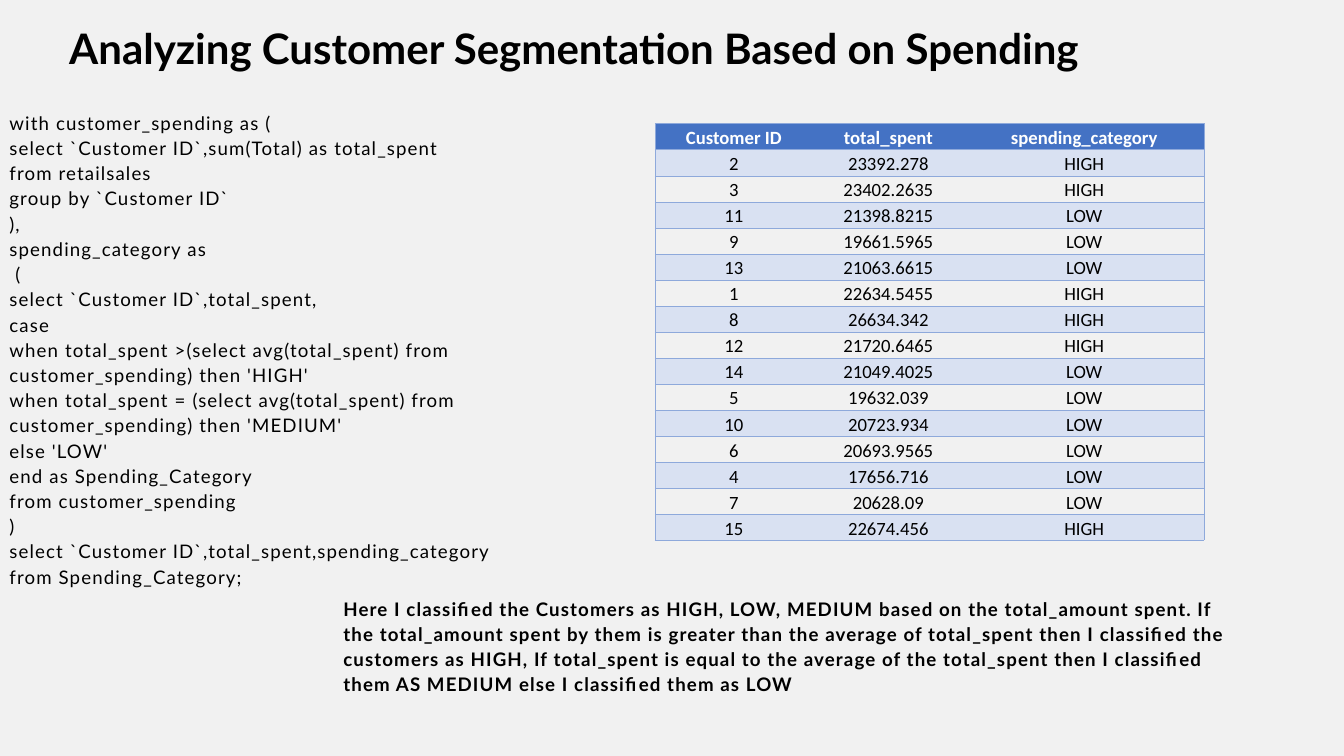
import pptx
import pptx.dml.color
import pptx.enum.text
import pptx.oxml.ns
import pptx.util
from lxml import etree

Inches = pptx.util.Inches
Pt = pptx.util.Pt
RGB = pptx.dml.color.RGBColor
Align = pptx.enum.text.PP_ALIGN
Anchor = pptx.enum.text.MSO_ANCHOR
qn = pptx.oxml.ns.qn

PAPER = RGB(0xF1, 0xF1, 0xF1)
INK = RGB(0, 0, 0)
WHITE = RGB(0xFF, 0xFF, 0xFF)
HEAD = RGB(0x44, 0x72, 0xC4)
BAND = RGB(0xD9, 0xE1, 0xF2)
RULE = RGB(0x8E, 0xA9, 0xDB)
PLAIN = "{2D5ABB26-0587-4C30-8999-92F81FD0307C}"

TITLE = "Analyzing Customer Segmentation Based on Spending"

QUERY = """with customer_spending as (
select `Customer ID`,sum(Total) as total_spent
from retailsales
group by `Customer ID`
),
spending_category as
 (
select `Customer ID`,total_spent,
case
when total_spent >(select avg(total_spent) from customer_spending) then 'HIGH'
when total_spent = (select avg(total_spent) from customer_spending) then 'MEDIUM'
else 'LOW'
end as Spending_Category
from customer_spending
)
select `Customer ID`,total_spent,spending_category
from Spending_Category;"""

NOTE = (
    "Here I classified the Customers as HIGH, LOW, MEDIUM based on the "
    "total_amount spent. If the total_amount spent by them is greater than "
    "the average of total_spent then I classified the customers as HIGH, "
    "If total_spent is equal to the average of the total_spent then I "
    "classified them AS MEDIUM else I classified them as LOW"
)

ROWS = [
    ("Customer ID", "total_spent", "spending_category"),
    ("2", "23392.278", "HIGH"),
    ("3", "23402.2635", "HIGH"),
    ("11", "21398.8215", "LOW"),
    ("9", "19661.5965", "LOW"),
    ("13", "21063.6615", "LOW"),
    ("1", "22634.5455", "HIGH"),
    ("8", "26634.342", "HIGH"),
    ("12", "21720.6465", "HIGH"),
    ("14", "21049.4025", "LOW"),
    ("5", "19632.039", "LOW"),
    ("10", "20723.934", "LOW"),
    ("6", "20693.9565", "LOW"),
    ("4", "17656.716", "LOW"),
    ("7", "20628.09", "LOW"),
    ("15", "22674.456", "HIGH"),
]


class Deck:
    """Holds the text style and the current slide."""

    face = "Lato"
    grid = "Calibri"
    size = 20
    lead = 27
    track = 1.2

    def __init__(self, wide, high):
        self.file = pptx.Presentation()
        self.file.slide_width = Inches(wide)
        self.file.slide_height = Inches(high)

    def add(self):
        self.slide = self.file.slides.add_slide(self.file.slide_layouts[1])
        fill = self.slide.background.fill
        fill.solid()
        fill.fore_color.rgb = PAPER

    def font(self, para, face, size, color, bold):
        font = para.font
        font.name = face
        font.size = Pt(size)
        font.color.rgb = color
        font.bold = bold
        return font

    def text(self, shape, box, text, size, lead, bold, track=0, left=0, top=0):
        shape.left, shape.top, shape.width, shape.height = map(Inches, box)
        frame = shape.text_frame
        frame.text = text
        frame.word_wrap = True
        frame.auto_size = pptx.enum.text.MSO_AUTO_SIZE.SHAPE_TO_FIT_TEXT
        frame.vertical_anchor = Anchor.TOP
        frame.margin_left, frame.margin_top = Inches(left), Inches(top)
        frame.margin_right = frame.margin_bottom = 0
        for para in frame.paragraphs:
            para.alignment = Align.LEFT
            para.line_spacing = Pt(lead)
            para.space_before = para.space_after = Pt(0)
            font = self.font(para, self.face, size, INK, bold)
            font._rPr.set("spc", str(round(track * 100)))

    def title(self, box, text, left):
        self.text(self.slide.shapes.title, box, text, 45, 43.6, True, left=left)

    def code(self, box, text, top):
        shape = self.slide.placeholders[1]
        self.text(shape, box, text, self.size, self.lead, False, self.track, top=top)
        # No bullets or hanging indent
        for para in shape.text_frame.paragraphs:
            props = para._p.get_or_add_pPr()
            props.set("marL", "0")
            props.set("indent", "0")
            props.find(qn("a:defRPr")).addprevious(etree.Element(qn("a:buNone")))

    def note(self, box, text):
        shape = self.slide.shapes.add_textbox(0, 0, 0, 0)
        self.text(shape, box, text, self.size, self.lead, True, self.track)

    def edge(self, cell, side):
        line = etree.SubElement(cell._tc.get_or_add_tcPr(), qn("a:ln" + side))
        line.set("w", str(Pt(0.5)))
        fill = etree.SubElement(line, qn("a:solidFill"))
        etree.SubElement(fill, qn("a:srgbClr")).set("val", str(RULE))

    def cell(self, cell, text, head, band, sides):
        cell.text = text
        cell.vertical_anchor = Anchor.BOTTOM
        cell.margin_left = cell.margin_right = cell.margin_top = Inches(0.01)
        cell.margin_bottom = 0
        for side in sides:
            self.edge(cell, side)
        if head or band:
            cell.fill.solid()
            cell.fill.fore_color.rgb = HEAD if head else BAND
        else:
            cell.fill.background()
        para = cell.text_frame.paragraphs[0]
        para.alignment = Align.CENTER
        self.font(para, self.grid, self.size, WHITE if head else INK, head)

    def table(self, box, cols, rows):
        frame = self.slide.shapes.add_table(len(rows), len(cols), *map(Inches, box))
        table = frame.table
        table.first_row = table.horz_banding = False
        table._tbl.tblPr.find(qn("a:tableStyleId")).text = PLAIN
        for col, wide in zip(table.columns, cols):
            col.width = Inches(wide)
        for r, row in enumerate(rows):
            table.rows[r].height = Inches(box[3] / len(rows))
            for c, text in enumerate(row):
                sides = "L" * (c == 0) + "R" * (c == len(cols) - 1) + "TB"
                self.cell(table.cell(r, c), text, r == 0, r % 2 == 1, sides)


def main():
    deck = Deck(20, 11.25)
    deck.add()

    # Heading
    deck.title((0.14, 0.48, 18.9, 0.64), TITLE, left=0.89)

    # Query on the left
    deck.code((0.14, 1.24, 8.43, 7.65), QUERY, top=0.38)

    # Explanation below
    deck.note((5.11, 8.85, 13.14, 1.45), NOTE)

    # Result table on the right
    deck.table((9.75, 1.84, 8.17, 6.2), (2.34, 2.26, 3.57), ROWS)

    deck.file.save("out.pptx")


if __name__ == "__main__":
    main()
